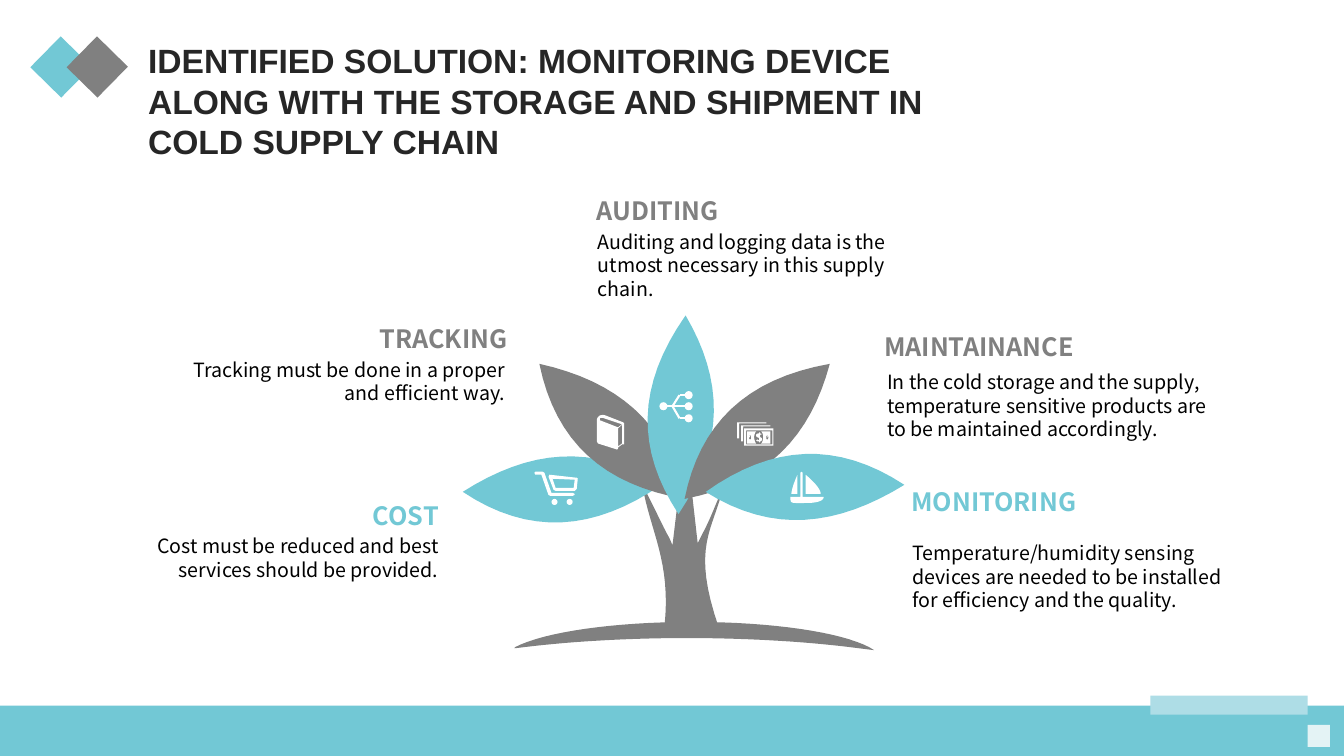
from pptx import Presentation, util as u
from pptx.dml.color import RGBColor
from pptx.enum import shapes, text
from pptx.oxml import parse_xml
from pptx.oxml.ns import nsdecls

COLORS = {"teal": "72C8D5", "gray": "808080", "pale": "AEDDE6", "mist": "E4F3F5",
          "white": "FFFFFF", "black": "000000", "title": "262626"}
RECTANGLE, OVAL = shapes.MSO_SHAPE.RECTANGLE, shapes.MSO_SHAPE.OVAL
BODY_FONT = "Noto Sans CJK SC"
CURVE_STEPS = 16

GROUND = [(228, 304), (307, 304, 374, 314, 403, 329), (408, 332), (392, 330),
          (346, 324, 287, 320, 222, 320), (158, 320, 99, 324, 53, 330),
          (51, 330), (52, 329), (81, 314, 149, 304, 228, 304)]
TRUNK = [(221, 120), (233, 226), (238, 216), (244, 205, 250, 190, 259, 168),
         (248, 215, 226, 228, 254, 310), (200, 309), (207, 244, 186, 215, 178, 168),
         (190, 190, 198, 209, 205, 221), (208, 228)]
LEAVES = [
    ("teal", [(197, 168), (130, 214, 66, 219, 0, 175), (66, 133, 129, 126, 197, 168)]),
    ("gray", [(220, 182), (140, 168, 92, 126, 76, 48), (152, 65, 202, 105, 220, 182)]),
    ("teal", [(214, 197), (172, 133, 172, 70, 221, 0), (258, 63, 261, 126, 214, 197)]),
    ("gray", [(220, 182), (235, 108, 280, 63, 364, 48), (345, 119, 303, 166, 220, 182)]),
    ("teal", [(241, 175), (307, 128, 371, 124, 438, 168), (371, 209, 308, 217, 241, 175)]),
]
CART_HANDLE = [(38, 21), (17, 21), (10, 1), (8, 0), (1, 0), (0, 1), (1, 3), (7, 3),
               (14, 23), (16, 24), (38, 24), (40, 23), (40, 22)]
CART_BASKET = [(42, 6), (15, 3), (14, 5), (19, 18), (21, 19), (40, 19), (42, 17), (43, 7)]
CART_OPENING = [(39, 16), (21, 16), (18, 7), (40, 8)]
BOOK_COVER = [(26, 8), (8, 1), (8, 1, 4, 0, 2, 2), (1, 3, 0, 4, 0, 6), (0, 27), (1, 29),
              (20, 35), (21, 34), (21, 33), (25, 30), (27, 30), (27, 9)]
BOOK_TOP = [(3, 6), (3, 4), (5, 3, 7, 4, 7, 4), (25, 10), (21, 13)]
BOOK_EDGE = [(21, 14), (25, 10.5), (25, 29), (21, 32)]
HULL = [(12, 25), (12, 1), (11, 0), (10, 1), (10, 25), (0, 25),
        (0, 32, 0, 31, 16, 31), (26, 31, 33, 29, 33, 25)]
MAINSAIL = [(15, 3), (15, 3, 30, 15, 30, 22), (15, 22)]
JIB = [(7, 3), (7, 3, 1, 16, 1, 22), (7, 22)]
SHEET = [(2, 1), (29, 1), (29, 0), (0, 0), (0, 16), (2, 16)]
NOTE_RIM = [(0, 0), (29, 0), (29, 17), (0, 17)]
NOTE_INSIDE = [(2, 2), (28, 2), (28, 16), (2, 16)]
NOTE_BLOCK = [(12, 3), (3, 3), (3, 15), (12, 15), (11, 14, 10, 11, 10, 9),
              (10, 6, 11, 4, 12, 3)]
NOTE_EYE = [(5, 9), (5, 8, 5, 7, 6, 7), (7, 7, 7, 8, 7, 9),
            (7, 10, 7, 11, 6, 11), (5, 11, 5, 10, 5, 9)]
DOLLAR = [(15, 13), (15, 14), (16, 14), (16, 13), (16, 13, 18, 12, 18, 11),
          (18, 9, 16, 9, 16, 8.5), (16, 6), (17, 6.5), (17.5, 5.5), (16, 5), (16, 4),
          (15, 4), (15, 5), (14, 5, 12, 5, 12, 7), (12, 9, 14, 9, 15, 9.5),
          (15, 12), (13, 11), (12, 12), (13.5, 13)]

CALLOUTS = [
    ("COST", "teal", "Cost must be reduced and best services should be provided.",
     (2.89, 4.91, 1.56), (0.88, 5.25, 3.57, 0.57), True),
    ("MONITORING", "teal", "Temperature/humidity sensing devices are needed to be installed "
     "for efficiency and the quality.", (8.94, 4.78, 3.19), (8.95, 5.32, 3.53, 0.81), False),
    ("AUDITING", "gray", "Auditing and logging data is the utmost necessary in this supply chain.",
     (5.82, 1.89, 1.58), (5.83, 2.23, 3.54, 0.81), False),
    ("TRACKING", "gray", "Tracking must be done in a proper and efficient way.",
     (3.14, 3.16, 1.99), (1.58, 3.5, 3.53, 0.57), True),
    ("MAINTAINANCE", "gray", "In the cold storage and the supply, temperature sensitive products "
     "are to be maintained accordingly.", (8.67, 3.24, 2.67), (8.7, 3.62, 3.53, 0.81), False),
]


def rgb(name):
    """Return the named colour."""
    return RGBColor.from_string(COLORS[name])


def paint(shape, color):
    """Give a shape a flat fill without line or shadow."""
    shape.shadow.inherit = False
    shape.fill.solid()
    shape.fill.fore_color.rgb = rgb(color)
    shape.line.fill.background()


def add_block(slide, kind, box, color, rotation=0):
    """Add a plain preset shape in a box given in inches."""
    shape = slide.shapes.add_shape(kind, *map(u.Inches, box))
    shape.rotation = rotation
    paint(shape, color)


def flatten(contour):
    """Turn points and cubic curves into a list of points."""
    points = [contour[0]]
    for step in contour[1:]:
        if len(step) == 2:
            points.append(step)
            continue
        nodes = [points[-1], step[:2], step[2:4], step[4:]]
        for i in range(1, CURVE_STEPS + 1):
            t = i / CURVE_STEPS
            weights = ((1 - t) ** 3, 3 * t * (1 - t) ** 2, 3 * t * t * (1 - t), t ** 3)
            points.append(tuple(sum(w * node[axis] for w, node in zip(weights, nodes))
                                for axis in (0, 1)))
    return points


def add_outline(slide, origin, contours, color):
    """Add a freeform whose contours are in hundredths of an inch from the origin."""
    builder = None
    for contour in contours:
        points = [(u.Inches(origin[0] + x / 100), u.Inches(origin[1] + y / 100))
                  for x, y in flatten(contour)]
        if builder is None:
            builder = slide.shapes.build_freeform(*points[0], scale=1.0)
        else:
            builder.move_to(*points[0])
        builder.add_line_segments(points[1:], close=True)
    paint(builder.convert_to_shape(), color)


def add_text(slide, box, words, size, color, font=BODY_FONT, bold=False, right=False):
    """Add one wrapped paragraph of text."""
    frame = slide.shapes.add_textbox(*map(u.Inches, box)).text_frame
    frame.word_wrap = True
    frame.auto_size = text.MSO_AUTO_SIZE.SHAPE_TO_FIT_TEXT
    paragraph = frame.paragraphs[0]
    paragraph.text = words
    paragraph.alignment = text.PP_ALIGN.RIGHT if right else text.PP_ALIGN.LEFT
    style = paragraph.runs[0].font
    style.name, style.size, style.bold = font, u.Pt(size), bold
    style.color.rgb = rgb(color)


def add_footer(slide, left, top, width, height):
    """Add the bottom band with its two accents."""
    add_block(slide, RECTANGLE, (left, top, width, height), "teal")
    add_block(slide, RECTANGLE, (left + 11.41, top - 0.1, 1.56, 0.19), "pale")
    add_block(slide, RECTANGLE, (left + 12.97, top + 0.19, 0.22, 0.22), "mist")


def add_header(slide, left, top):
    """Add the two diamonds and the title."""
    for i, color in enumerate(("teal", "gray")):
        add_block(slide, RECTANGLE, (left + 0.36 * i, top + 0.1, 0.43, 0.43), color, 44.5)
    add_text(slide, (left + 0.98, top, 8.66, 1.72),
             "IDENTIFIED SOLUTION: MONITORING DEVICE ALONG WITH THE STORAGE "
             "AND SHIPMENT IN COLD SUPPLY CHAIN", 24, "title", "Arial", True)


def add_tree(slide, left, top):
    """Add the ground, the trunk and the five leaves."""
    for color, contour in [("gray", GROUND), ("gray", TRUNK)] + LEAVES:
        add_outline(slide, (left, top), [contour], color)


def add_cart(slide, left, top):
    """Add the shopping cart icon."""
    for x in (0.17, 0.32):
        add_block(slide, OVAL, (left + x, top + 0.27, 0.06, 0.06), "white")
    add_outline(slide, (left, top), [CART_HANDLE], "white")
    add_outline(slide, (left, top), [CART_BASKET, CART_OPENING], "white")


def add_network(slide, left, top):
    """Add the icon of one node branching to three."""
    for points in ([(0.05, 0.15), (0.29, 0.15)],
                   [(0.13, 0.15), (0.2, 0.04), (0.29, 0.04)],
                   [(0.13, 0.15), (0.2, 0.27), (0.29, 0.27)]):
        for start, end in zip(points, points[1:]):
            line = slide.shapes.add_connector(
                shapes.MSO_CONNECTOR.STRAIGHT, u.Inches(left + start[0]),
                u.Inches(top + start[1]), u.Inches(left + end[0]), u.Inches(top + end[1]))
            line.line.color.rgb = rgb("white")
            line.line.width = u.Pt(1.5)
            line._element.spPr.append(parse_xml(f"<a:effectLst {nsdecls('a')}/>"))
    for x, y in ((0, 0.11), (0.25, 0), (0.25, 0.11), (0.25, 0.23)):
        add_block(slide, OVAL, (left + x, top + y, 0.08, 0.08), "white")


def mirror(contour):
    """Reflect a contour across the middle of the banknote."""
    return [tuple(29 - v if i % 2 == 0 else v for i, v in enumerate(step)) for step in contour]


def add_money(slide, left, top):
    """Add the stack of banknotes."""
    for x, y in ((0, 0), (0.04, 0.03)):
        add_outline(slide, (left + x, top + y), [SHEET], "white")
    note = (left + 0.07, top + 0.06)
    add_outline(slide, note, [NOTE_RIM, NOTE_INSIDE], "white")
    for x in (0.05, 0.23):
        add_block(slide, OVAL, (note[0] + x, note[1] + 0.07, 0.01, 0.02), "white")
    block = [NOTE_BLOCK, NOTE_EYE]
    for contours in (block, [mirror(contour) for contour in block], [DOLLAR]):
        add_outline(slide, note, contours, "white")


def add_callout(slide, heading, color, body, heading_box, body_box, right):
    """Add a heading and its explanation."""
    add_text(slide, body_box, body, 14, "black", right=right)
    add_text(slide, (*heading_box, 0.4), heading, 18, color, bold=True, right=right)


def main():
    """Build the slide and save it."""
    presentation = Presentation()
    presentation.slide_width, presentation.slide_height = u.Inches(13.33), u.Inches(7.5)
    slide = presentation.slides.add_slide(presentation.slide_layouts[6])
    add_footer(slide, 0, 7, 13.33, 0.5)
    add_tree(slide, 4.59, 3.13)
    add_cart(slide, 5.3, 4.68)
    add_outline(slide, (5.92, 4.11), [BOOK_COVER, BOOK_TOP, BOOK_EDGE], "white")
    add_network(slide, 6.54, 3.88)
    add_money(slide, 7.31, 4.19)
    for sail in (HULL, MAINSAIL, JIB):
        add_outline(slide, (7.84, 4.68), [sail], "white")
    for callout in CALLOUTS:
        add_callout(slide, *callout)
    add_header(slide, 0.39, 0.35)
    presentation.save("out.pptx")


if __name__ == "__main__":
    main()
